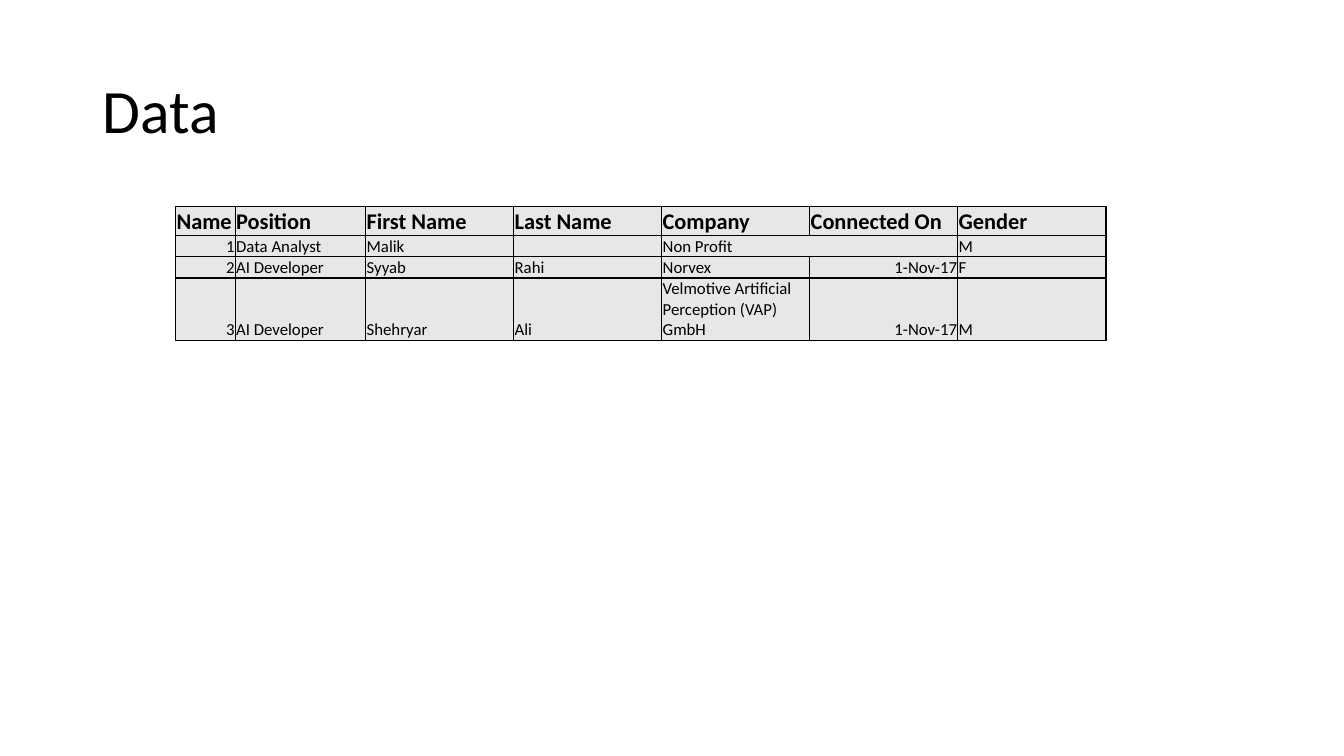
import pptx
import pptx.dml.color
import pptx.enum.text
import pptx.oxml
import pptx.oxml.ns
import pptx.util

TITLE = "Data"
HEADINGS = ["Name", "Position", "First Name", "Last Name", "Company",
            "Connected On", "Gender"]
CONTACTS = [
    ["1", "Data Analyst", "Malik", "", "Non Profit", "", "M"],
    ["2", "AI Developer", "Syyab", "Rahi", "Norvex", "1-Nov-17", "F"],
    ["3", "AI Developer", "Shehryar", "Ali",
     "Velmotive Artificial Perception (VAP) GmbH", "1-Nov-17", "M"],
]
COLUMN_WIDTHS = [1.5, 3.29] + [3.73] * 5
ROW_HEIGHTS = [0.72, 0.53, 0.53, 1.57]
RIGHT_ALIGNED = {HEADINGS.index("Name"), HEADINGS.index("Connected On")}
COMPANY = HEADINGS.index("Company")

FONT = "Calibri"
BLACK = pptx.dml.color.RGBColor(0x00, 0x00, 0x00)
GREY = pptx.dml.color.RGBColor(0xE7, 0xE7, 0xE7)
ALIGN = pptx.enum.text.PP_ALIGN
ANCHOR = pptx.enum.text.MSO_ANCHOR
Cm = pptx.util.Cm
Pt = pptx.util.Pt


def format_font(font, size, bold=False):
    font.name, font.size, font.bold = FONT, Pt(size), bold
    font.color.rgb = BLACK


def add_borders(cell):
    properties = cell._tc.get_or_add_tcPr()
    for position, side in enumerate(("lnL", "lnR", "lnT", "lnB")):
        properties.insert(position, pptx.oxml.parse_xml(
            f'<a:{side} {pptx.oxml.ns.nsdecls("a")} w="{Pt(1)}">'
            f'<a:solidFill><a:srgbClr val="{BLACK}"/></a:solidFill></a:{side}>'))


def fill_cell(cell, text, size, bold, align):
    cell.margin_left = cell.margin_right = cell.margin_top = Cm(0.02)
    cell.margin_bottom = 0
    cell.vertical_anchor = ANCHOR.BOTTOM
    cell.fill.solid()
    cell.fill.fore_color.rgb = GREY
    add_borders(cell)
    cell.text_frame.text = text
    paragraph = cell.text_frame.paragraphs[0]
    paragraph.alignment = align
    for run in paragraph.runs:
        format_font(run.font, size, bold)
    if not text:  # keeps an empty cell from making its row taller
        paragraph._p.append(pptx.oxml.parse_xml(
            f'<a:endParaRPr {pptx.oxml.ns.nsdecls("a")} sz="{size * 100}"/>'))


def main():
    deck = pptx.Presentation()
    deck.slide_width, deck.slide_height = Cm(33.87), Cm(19.05)
    slide = deck.slides.add_slide(deck.slide_layouts[5])

    title = slide.shapes.title
    title.left, title.top = Cm(2.33), Cm(1.02)
    title.width, title.height = Cm(29.21), Cm(3.68)
    title.text_frame.text = TITLE
    title.text_frame.vertical_anchor = ANCHOR.MIDDLE
    heading = title.text_frame.paragraphs[0]
    heading.alignment = ALIGN.LEFT
    heading.line_spacing = 0.9
    format_font(heading.runs[0].font, 44)

    rows = [HEADINGS] + CONTACTS
    contacts = slide.shapes.add_table(
        len(rows), len(HEADINGS), Cm(4.43), Cm(5.21),
        Cm(sum(COLUMN_WIDTHS)), Cm(sum(ROW_HEIGHTS))).table
    contacts.horz_banding = False
    for column, width in zip(contacts.columns, COLUMN_WIDTHS):
        column.width = Cm(width)
    for row, height in zip(contacts.rows, ROW_HEIGHTS):
        row.height = Cm(height)

    for r, values in enumerate(rows):
        is_header = r == 0
        for c, value in enumerate(values):
            to_right = not is_header and c in RIGHT_ALIGNED
            fill_cell(contacts.cell(r, c), value, 16 if is_header else 12,
                      is_header, ALIGN.RIGHT if to_right else ALIGN.LEFT)
    contacts.cell(1, COMPANY).merge(contacts.cell(1, COMPANY + 1))

    deck.save("out.pptx")


if __name__ == "__main__":
    main()
